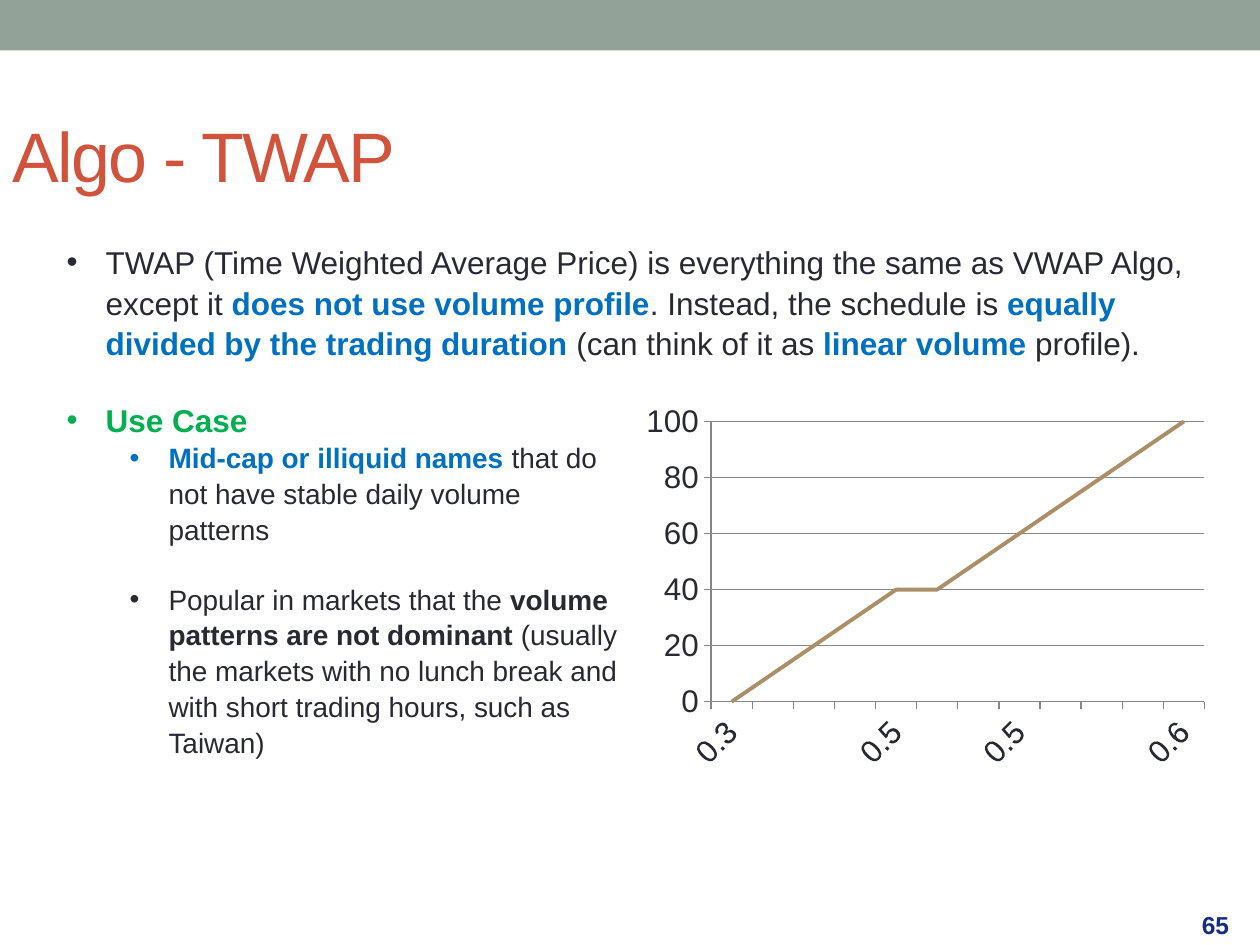
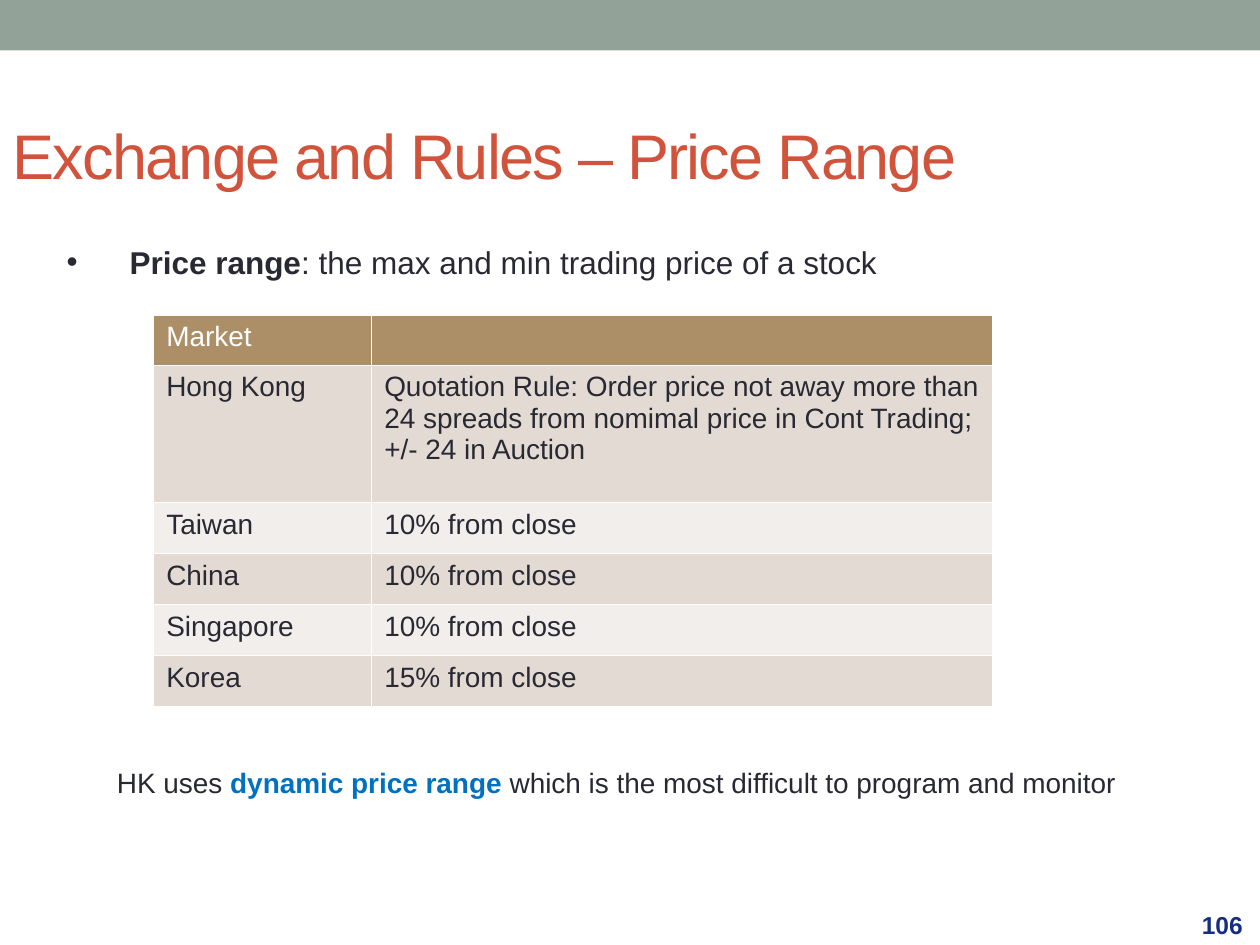
from dataclasses import dataclass

from lxml import etree
from pptx import Presentation
from pptx.chart.data import CategoryChartData
from pptx.dml.color import RGBColor
from pptx.enum import chart as ch, shapes, text
from pptx.oxml import parse_xml
from pptx.oxml.ns import qn
from pptx.util import Inches, Pt

FONT = "Arial"
INK, BLUE, GREEN, RED = "292934", "0070C0", "00B050", "D2533C"
SAGE, NAVY, TAN, WHITE, GREY = "93A299", "152E82", "AD8F67", "FFFFFF", "868686"
BANDS = "E3DBD3", "F1EEEB"


@dataclass
class Run:
    words: str
    hue: str = INK
    bold: bool = False


@dataclass
class Para:
    runs: list[Run]
    size: float = 18
    left: float = 0
    hang: float = 0
    gap: float = 0
    lead: float = 1


@dataclass
class Box:
    left: float
    top: float
    width: float
    height: float

    def place(self) -> tuple:
        return tuple(Inches(n) for n in (self.left, self.top, self.width, self.height))


def rgb(hue: str) -> RGBColor:
    return RGBColor.from_string(hue)


def style(font, size: float, hue: str | None = None, bold: bool | None = None) -> None:
    font.name, font.size = FONT, Pt(size)
    if bold is not None:
        font.bold = bold
    if hue:
        font.color.rgb = rgb(hue)


def add_bullet(para, hue: str, left: float, hang: float) -> None:
    props = para._p.get_or_add_pPr()
    props.set("marL", str(Inches(left)))
    props.set("indent", str(-Inches(hang)))
    tint = etree.SubElement(props, qn("a:buClr"))
    etree.SubElement(tint, qn("a:srgbClr"), val=hue)
    etree.SubElement(props, qn("a:buFont"), typeface=FONT)
    etree.SubElement(props, qn("a:buChar"), char="•")


def add_text(slide, box: Box, paras: list[Para], wrap: bool = True):
    frame = slide.shapes.add_textbox(*box.place()).text_frame
    frame.word_wrap = wrap
    for i, item in enumerate(paras):
        para = frame.add_paragraph() if i else frame.paragraphs[0]
        if item.hang:
            add_bullet(para, item.runs[0].hue, item.left, item.hang)
        if item.lead != 1:
            para.line_spacing = item.lead
        if item.gap:
            para.space_before = Pt(item.gap)
        style(para.font, item.size)
        for part in item.runs:
            run = para.add_run()
            run.text = part.words
            run.font.bold = part.bold
            run.font.color.rgb = rgb(part.hue)
    return frame


def add_page(deck, title: str, size: float, page: int):
    slide = deck.slides.add_slide(deck.slide_layouts[5])
    band = slide.shapes.add_shape(shapes.MSO_SHAPE.RECTANGLE, *Box(0, 0, 10, 0.4).place())
    band.shadow.inherit = False
    band.fill.solid()
    band.fill.fore_color.rgb = rgb(SAGE)
    band.line.fill.background()

    head = slide.shapes.title
    head.left, head.top, head.width, head.height = Box(0, 0.68, 8.83, 1.09).place()
    frame = head.text_frame
    frame.text = title
    frame.auto_size = text.MSO_AUTO_SIZE.NONE
    frame.vertical_anchor = text.MSO_ANCHOR.MIDDLE
    para = frame.paragraphs[0]
    para.alignment = text.PP_ALIGN.LEFT
    style(para.font, size, RED)
    para.runs[0].font._element.set("spc", "-100")

    foot = add_text(slide, Box(9.44, 7.14, 0.55, 0.39),
                    [Para([Run(str(page), NAVY, True)], 14)])
    foot.vertical_anchor = text.MSO_ANCHOR.MIDDLE
    return slide


def add_curve(slide, box: Box) -> None:
    data = CategoryChartData()
    marks = {0: "0.3", 4: "0.5", 7: "0.5", 11: "0.6"}
    data.categories = [marks.get(i, "") for i in range(12)]
    data.add_series("Series 1", [*range(0, 50, 10), *range(40, 101, 10)])
    chart = slide.shapes.add_chart(ch.XL_CHART_TYPE.LINE, *box.place(), data).chart
    chart.has_legend = chart.has_title = False
    style(chart.font, 18, INK)
    plot = chart.plots[0]
    plot.vary_by_categories = False
    line = plot.series[0]
    line.smooth = False
    line.marker.style = ch.XL_MARKER_STYLE.NONE
    line.format.line.color.rgb = rgb(TAN)
    line.format.line.width = Pt(2.25)

    times, scale = chart.category_axis, chart.value_axis
    scale.minimum_scale, scale.maximum_scale, scale.major_unit = 0, 100, 20
    scale.has_major_gridlines = True
    for part in (times, scale):
        part.major_tick_mark = ch.XL_TICK_MARK.OUTSIDE
        style(part.tick_labels.font, 18, INK)
    for part in (times, scale, scale.major_gridlines):
        part.format.line.color.rgb = rgb(GREY)
        part.format.line.width = Pt(0.75)
    turn = times._element.find(qn("c:txPr")).find(qn("a:bodyPr"))
    turn.set("rot", "-2700000")
    turn.set("vert", "horz")

    area = chart._chartSpace.chart.plotArea
    for old in area.findall(qn("c:layout")):
        area.remove(old)
    sizes = {"x": 0.11, "y": 0.05, "w": 0.87, "h": 0.77}
    rules = "".join(f'<c:{key}Mode val="edge"/>' for key in "xy")
    rules += "".join(f'<c:{key} val="{val}"/>' for key, val in sizes.items())
    area.insert(0, parse_xml(
        '<c:layout xmlns:c="http://schemas.openxmlformats.org/drawingml/2006/chart">'
        f'<c:manualLayout><c:layoutTarget val="inner"/>{rules}</c:manualLayout></c:layout>'))


def add_edges(cell) -> None:
    props = cell._tc.get_or_add_tcPr()
    for side in "LRTB":
        edge = etree.SubElement(props, qn(f"a:ln{side}"), w=str(Pt(1)))
        fill = etree.SubElement(edge, qn("a:solidFill"))
        etree.SubElement(fill, qn("a:srgbClr"), val=WHITE)


def add_grid(slide, box: Box, rows: list[tuple], wide: list[float], high: list[float]) -> None:
    grid = slide.shapes.add_table(len(rows), len(wide), *box.place()).table
    grid.horz_banding = grid.first_row = False
    for col, width in zip(grid.columns, wide):
        col.width = Inches(width)
    for i, (row, height) in enumerate(zip(rows, high)):
        grid.rows[i].height = Inches(height)
        for j, words in enumerate(row):
            cell = grid.cell(i, j)
            add_edges(cell)
            cell.fill.solid()
            cell.fill.fore_color.rgb = rgb(BANDS[(i - 1) % 2] if i else TAN)
            cell.text = words
            style(cell.text_frame.paragraphs[0].font, 16, INK if i else WHITE)


def draw_twap(deck) -> None:
    slide = add_page(deck, "Algo - TWAP", 40, 65)
    add_text(slide, Box(0.43, 1.86, 9.45, 2.28), [Para([
        Run("TWAP (Time Weighted Average Price) is everything the same as VWAP Algo, except it "),
        Run("does not use volume profile", BLUE, True),
        Run(". Instead, the schedule is "),
        Run("equally divided by the trading duration ", BLUE, True),
        Run("(can think of it as "),
        Run("linear volume ", BLUE, True),
        Run("profile)."),
    ], left=0.31, hang=0.31, lead=1.07)])
    add_curve(slide, Box(5.13, 3.2, 4.52, 2.91))
    add_text(slide, Box(0.43, 3.11, 4.57, 3.13), [
        Para([Run("Use Case", GREEN, True)], left=0.31, hang=0.31, lead=1.07),
        Para([Run("Mid-cap or illiquid names ", BLUE, True),
              Run("that do not have stable daily volume patterns")],
             16, 0.81, 0.31, lead=1.07),
        Para([Run("Popular in markets that the "),
              Run("volume patterns are not dominant ", bold=True),
              Run("(usually the markets with no lunch break and with short "
                  "trading hours, such as Taiwan)")],
             16, 0.81, 0.31, 19.2, 1.07),
    ])


def draw_range(deck) -> None:
    slide = add_page(deck, "Exchange and Rules – Price Range", 36, 106)
    add_text(slide, Box(0.43, 1.86, 9.45, 5.12), [Para([
        Run("Price range", bold=True),
        Run(": the max and min trading price of a stock"),
    ], left=0.5, hang=0.5, lead=1.07)])
    rows = [
        ("Market", ""),
        ("Hong Kong", "Quotation Rule: Order price not away more than 24 spreads "
                      "from nomimal price in Cont Trading; +/- 24 in Auction"),
        ("Taiwan", "10% from close"),
        ("China", "10% from close"),
        ("Singapore", "10% from close"),
        ("Korea", "15% from close"),
    ]
    add_grid(slide, Box(1.22, 2.5, 6.66, 3.11), rows, [1.73, 4.93], [0.4, 1.09] + [0.405] * 4)
    add_text(slide, Box(0.83, 6.03, 8.23, 0.37), [Para([
        Run("HK uses "),
        Run("dynamic price range ", BLUE, True),
        Run("which is the most difficult to program and monitor"),
    ], 16)], wrap=False)


def main() -> None:
    deck = Presentation()
    deck.slide_width, deck.slide_height = Inches(10), Inches(7.5)
    draw_twap(deck)
    draw_range(deck)
    deck.save("out.pptx")


if __name__ == "__main__":
    main()
